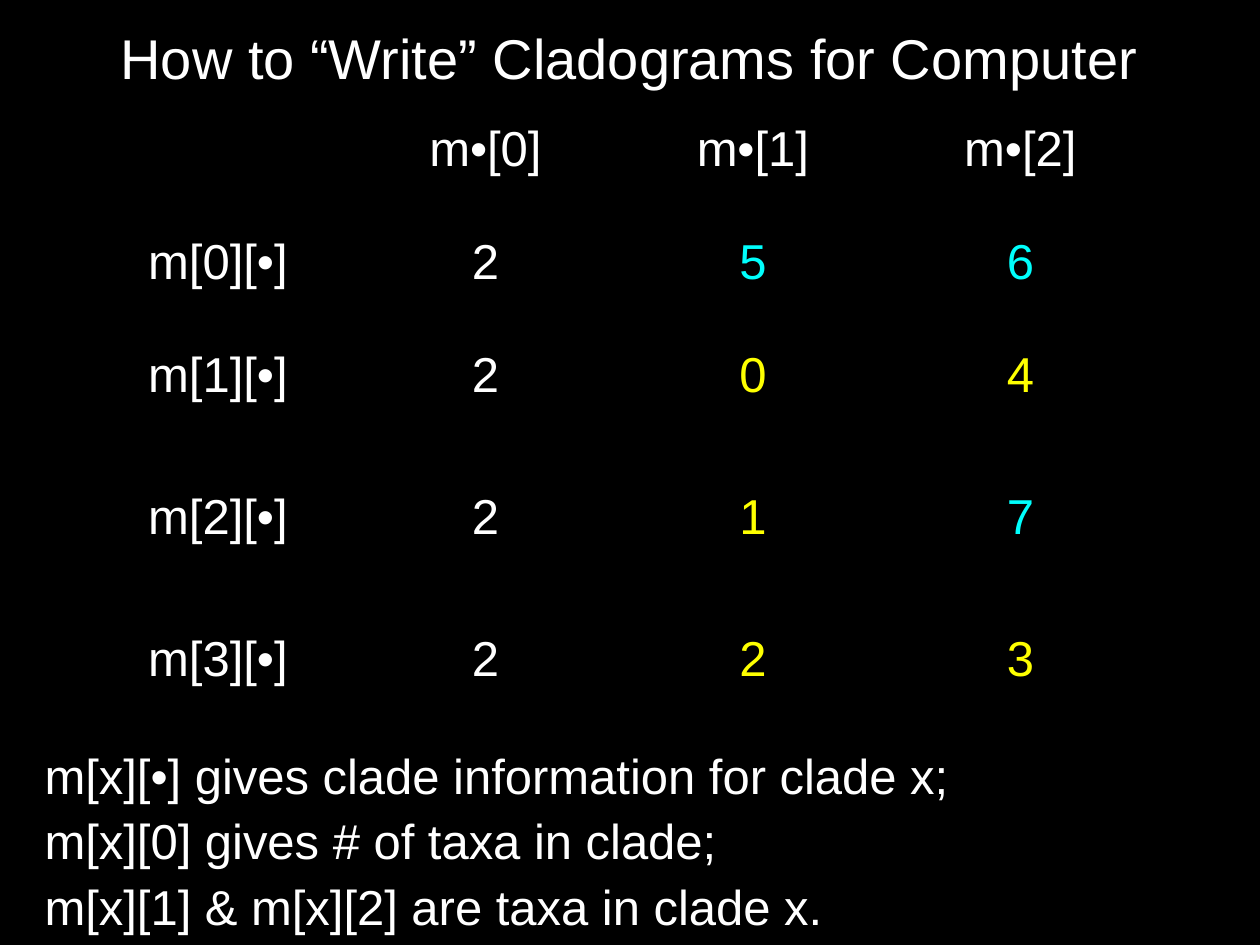
from lxml.etree import SubElement
from pptx import Presentation
from pptx.dml.color import RGBColor
from pptx.enum.text import MSO_ANCHOR, MSO_AUTO_SIZE, PP_ALIGN
from pptx.oxml.ns import qn
from pptx.util import Emu, Pt

COLORS = {
    "background": "000000",
    "text": "FFFFFF",
    "clade": "00FFFD",
    "taxon": "FEFF00",
}
TITLE = "How to “Write” Cladograms for Computer"
MATRIX = [
    ["", "m•[0]", "m•[1]", "m•[2]"],
    ["m[0][•]", "2", "5", "6"],
    ["m[1][•]", "2", "0", "4"],
    ["m[2][•]", "2", "1", "7"],
    ["m[3][•]", "2", "2", "3"],
]
CLADE_MEMBERS = {"5", "6", "7"}
NOTES = [
    "m[x][•] gives clade information for clade x;",
    "m[x][0] gives # of taxa in clade;",
    "m[x][1] & m[x][2] are taxa in clade x.",
]
COLUMN_WIDTHS = [268, 267, 268, 267]
ROW_HEIGHTS = [113, 113, 142, 142, 112]
TITLE_BOX = (94, 10, 1071, 95)
TABLE_BOX = (84, 116, sum(COLUMN_WIDTHS), sum(ROW_HEIGHTS))
NOTES_BOX = (32, 746, 1134, 199)
HANGING = 47
OUTER_LINE, INNER_LINE = Pt(1.08), Pt(0.45)


def px(length):
    return Emu(length * 914400 // 126)


def place(shape, box):
    shape.left, shape.top, shape.width, shape.height = map(px, box)


def format_text(paragraph, size, color="text"):
    for run in paragraph.runs:
        run.font.name = "Arial"
        run.font.size = Pt(size)
        run.font.bold = False
        run.font.color.rgb = RGBColor.from_string(COLORS[color])


def add_borders(cell, row, column):
    outer_sides = {
        "lnL": column == 0,
        "lnR": column == len(COLUMN_WIDTHS) - 1,
        "lnT": row == 0,
        "lnB": row == len(ROW_HEIGHTS) - 1,
    }
    properties = cell._tc.get_or_add_tcPr()
    for side, outer in outer_sides.items():
        width = OUTER_LINE if outer else INNER_LINE
        line = SubElement(properties, qn(f"a:{side}"), w=str(width))
        fill = SubElement(line, qn("a:solidFill"))
        SubElement(fill, qn("a:srgbClr"), val=COLORS["background"])


def cell_color(row, column):
    if row == 0 or column < 2:
        return "text"
    return "clade" if MATRIX[row][column] in CLADE_MEMBERS else "taxon"


def add_matrix(slide):
    shape = slide.shapes.add_table(len(ROW_HEIGHTS), len(COLUMN_WIDTHS), *map(px, TABLE_BOX))
    table = shape.table
    table.first_row = table.horz_banding = False
    for column, width in zip(table.columns, COLUMN_WIDTHS):
        column.width = px(width)
    for row, height in zip(table.rows, ROW_HEIGHTS):
        row.height = px(height)
    for row, values in enumerate(MATRIX):
        for column, value in enumerate(values):
            cell = table.cell(row, column)
            add_borders(cell, row, column)
            cell.fill.background()
            cell.text_frame.text = value
            paragraph = cell.text_frame.paragraphs[0]
            paragraph.alignment = PP_ALIGN.CENTER
            paragraph.space_before = Pt(7)
            format_text(paragraph, 28, cell_color(row, column))


def fill_title(title):
    place(title, TITLE_BOX)
    frame = title.text_frame
    frame.text = TITLE
    frame.auto_size = MSO_AUTO_SIZE.NONE
    frame.vertical_anchor = MSO_ANCHOR.MIDDLE
    frame.paragraphs[0].alignment = PP_ALIGN.CENTER
    format_text(frame.paragraphs[0], 32)


def fill_notes(body):
    place(body, NOTES_BOX)
    frame = body.text_frame
    frame.text = "\n".join(NOTES)
    frame.auto_size = MSO_AUTO_SIZE.NONE
    frame.vertical_anchor = MSO_ANCHOR.TOP
    for paragraph in frame.paragraphs:
        paragraph.line_spacing = 0.9
        paragraph.space_before = Pt(7)
        properties = paragraph._p.get_or_add_pPr()
        properties.set("marL", str(px(HANGING)))
        properties.set("indent", str(-px(HANGING)))
        SubElement(properties, qn("a:buNone"))
        format_text(paragraph, 28)


def main():
    presentation = Presentation()
    presentation.slide_width, presentation.slide_height = px(1260), px(945)
    slide = presentation.slides.add_slide(presentation.slide_layouts[1])
    background = slide.background.fill
    background.solid()
    background.fore_color.rgb = RGBColor.from_string(COLORS["background"])
    fill_title(slide.shapes.title)
    add_matrix(slide)
    fill_notes(slide.placeholders[1])
    presentation.save("out.pptx")


if __name__ == "__main__":
    main()
